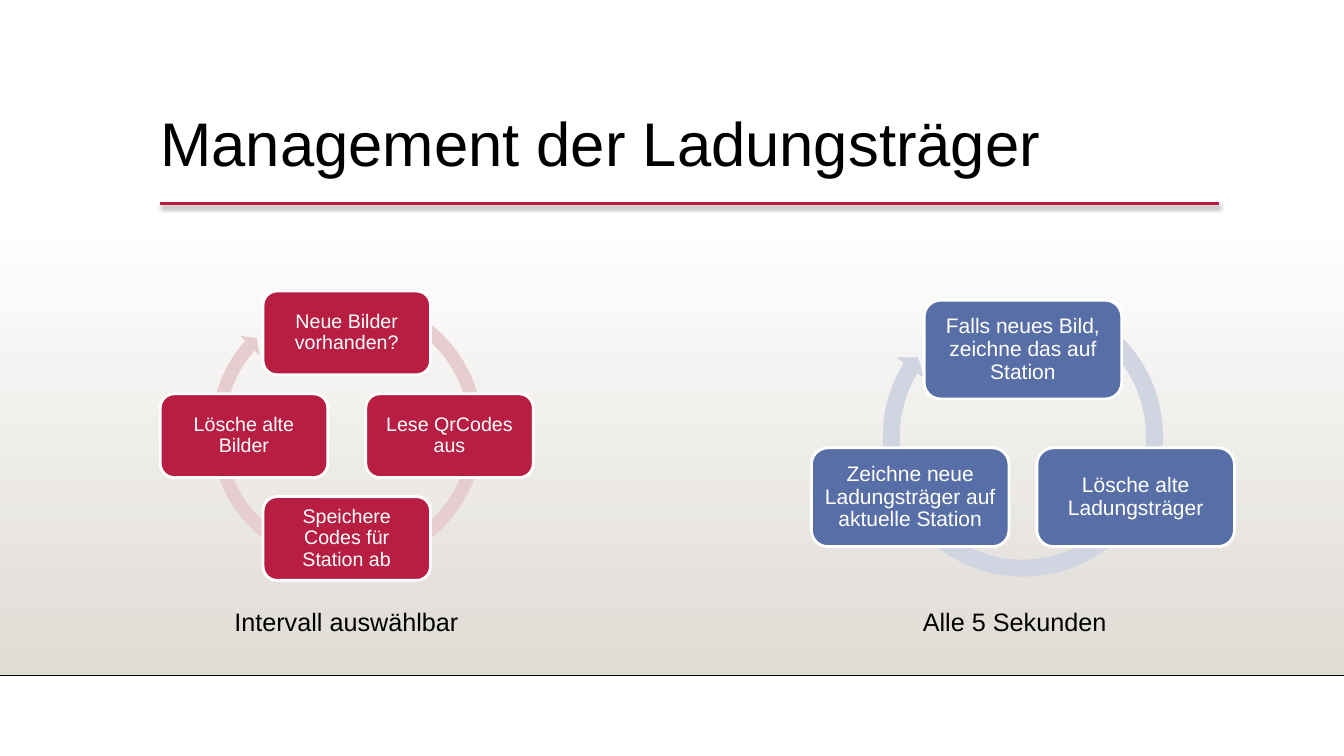
from math import cos, radians, sin

from lxml.etree import SubElement
from pptx import Presentation
from pptx.dml.color import RGBColor
from pptx.enum.shapes import MSO_CONNECTOR, MSO_SHAPE
from pptx.enum.text import MSO_ANCHOR, MSO_AUTO_SIZE, PP_ALIGN
from pptx.oxml.ns import qn
from pptx.util import Cm, Pt


def rgb(value):
    return RGBColor.from_string(value)


def style_text(shape, text, size, color, align, spacing=1.0, inset=(0, 0)):
    tf = shape.text_frame
    tf.text = text
    tf.word_wrap = True
    tf.auto_size = MSO_AUTO_SIZE.NONE
    tf.vertical_anchor = MSO_ANCHOR.MIDDLE
    tf.margin_left = tf.margin_right = Cm(inset[0])
    tf.margin_top = tf.margin_bottom = Cm(inset[1])
    p = tf.paragraphs[0]
    p.alignment = align
    p.line_spacing = spacing
    font = p.runs[0].font
    font.name = "Arial"
    font.size = Pt(size)
    font.color.rgb = rgb(color)


prs = Presentation()
prs.slide_width = Cm(33.87)
prs.slide_height = Cm(19.05)
s = prs.slides.add_slide(prs.slide_layouts[5])

band = s.shapes.add_shape(MSO_SHAPE.RECTANGLE, 0, Cm(5.61), prs.slide_width, Cm(11.41))
band.shadow.inherit = False
band.line.fill.background()
band.fill.gradient()
band.fill.gradient_angle = 270
for stop, color, position in zip(band.fill.gradient_stops, ("FFFFFF", "DFDBD5"), (0, 1)):
    stop.color.rgb = rgb(color)
    stop.position = position

rules = [(0, 33.87, 17.02, "000001", 1), (4.04, 30.73, 5.13, "B71E42", 2.5)]
for left, right, y, color, width in rules:
    line = s.shapes.add_connector(MSO_CONNECTOR.STRAIGHT, Cm(left), Cm(y), Cm(right), Cm(y))
    line.line.color.rgb = rgb(color)
    line.line.width = Pt(width)
    effects = SubElement(line._element.spPr, qn("a:effectLst"))

shadow = SubElement(effects, qn("a:outerShdw"), blurRad=str(Pt(3.1)), dist=str(Pt(1.8)),
                    dir="5400000", rotWithShape="0")
shadow_color = SubElement(shadow, qn("a:srgbClr"), val="000000")
SubElement(shadow_color, qn("a:alpha"), val="35000")

title = s.shapes.title
title.left, title.top, title.width, title.height = Cm(4.04), Cm(2.24), Cm(26.67), Cm(2.92)
style_text(title, "Management der Ladungsträger", 44, "000000", PP_ALIGN.LEFT, 0.9)

cycles = [
    dict(steps=["Neue Bilder vorhanden?", "Lese QrCodes aus",
                "Speichere Codes für Station ab", "Lösche alte Bilder"],
         center=(8.74, 10.98), radius=(2.59, 2.59), box=(4.22, 2.11), size=14,
         color="B71E42", ring_color="E6CDCF", ring_y=10.87, ring=7.21,
         adjust=(0.047, 2.729, 132.889, 177.272, 0.048),
         caption="Intervall auswählbar", caption_x=8.73),
    dict(steps=["Falls neues Bild, zeichne das auf Station", "Lösche alte Ladungsträger",
                "Zeichne neue Ladungsträger auf aktuelle Station"],
         center=(25.78, 11.29), radius=(3.28, 2.48), box=(4.98, 2.49), size=15,
         color="586EA6", ring_color="D1D5E1", ring_y=11, ring=7.52,
         adjust=(0.057, 3.405, 126.812, 180.876, 0.059),
         caption="Alle 5 Sekunden", caption_x=25.57),
]

for cycle in cycles:
    cx, cy = cycle["center"]
    rx, ry = cycle["radius"]
    w, h = cycle["box"]
    d = cycle["ring"]
    ring = s.shapes.add_shape(MSO_SHAPE.CIRCULAR_ARROW, Cm(cx - d / 2),
                              Cm(cycle["ring_y"] - d / 2), Cm(d), Cm(d))
    ring.shadow.inherit = False
    ring.fill.solid()
    ring.fill.fore_color.rgb = rgb(cycle["ring_color"])
    ring.line.fill.background()
    for i, value in enumerate(cycle["adjust"]):
        ring.adjustments[i] = value

    for i, step in enumerate(cycle["steps"]):
        angle = radians(360 * i / len(cycle["steps"]))
        x, y = cx + rx * sin(angle), cy - ry * cos(angle)
        node = s.shapes.add_shape(MSO_SHAPE.ROUNDED_RECTANGLE, Cm(x - w / 2), Cm(y - h / 2),
                                  Cm(w), Cm(h))
        node.shadow.inherit = False
        node.fill.solid()
        node.fill.fore_color.rgb = rgb(cycle["color"])
        node.line.color.rgb = rgb("FFFFFF")
        node.line.width = Pt(2)
        style_text(node, step, cycle["size"], "FFFFFF", PP_ALIGN.CENTER, 0.9, (0.15, 0.15))

    caption = s.shapes.add_textbox(Cm(cycle["caption_x"] - 4.43), Cm(15.16), Cm(8.86), Cm(1.02))
    style_text(caption, cycle["caption"], 18, "000000", PP_ALIGN.CENTER, 1.0, (0.25, 0.13))

prs.save("out.pptx")
